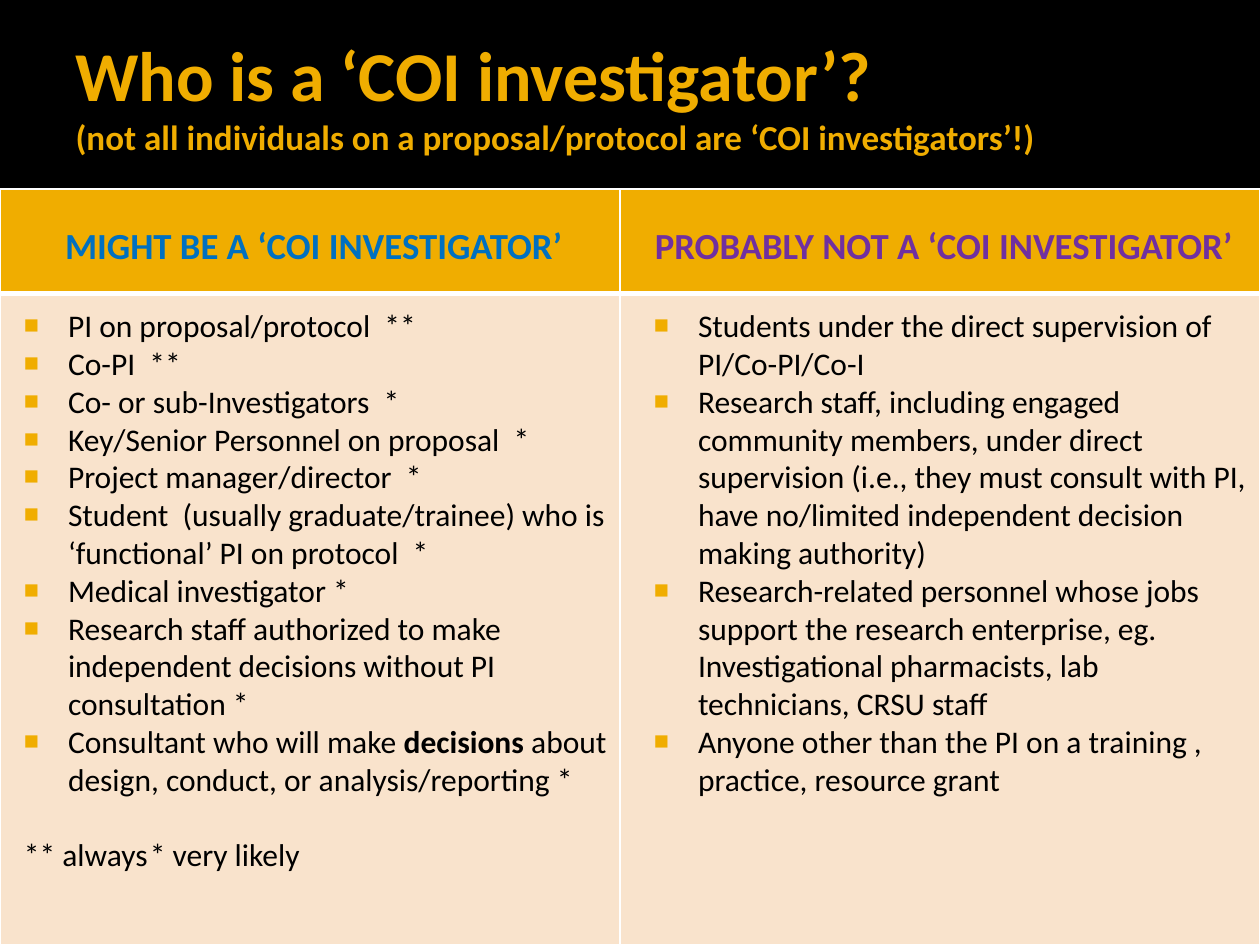
from lxml.etree import SubElement
from pptx import Presentation
from pptx.dml.color import RGBColor
from pptx.enum.shapes import MSO_SHAPE
from pptx.enum.text import MSO_ANCHOR, MSO_AUTO_SIZE, PP_ALIGN
from pptx.oxml.ns import qn
from pptx.util import Inches, Pt

GOLD = RGBColor(0xF0, 0xAD, 0x00)
PEACH = RGBColor(0xF9, 0xE3, 0xCC)
CREAM = RGBColor(0xFF, 0xF0, 0xC9)
WHITE = RGBColor(0xFF, 0xFF, 0xFF)
BLACK = RGBColor(0x00, 0x00, 0x00)
BLUE = RGBColor(0x00, 0x70, 0xC0)
PURPLE = RGBColor(0x70, 0x30, 0xA0)

WIDE, HIGH = 10, 7.5
TOP, HEAD = HIGH / 5, 0.83
BAND = 1.57
BODY = TOP + HEAD
COLS = (4.92, WIDE - 4.92)
ROWS = (HEAD, HIGH - BODY)
HANG, STEP = 0.48, 0.35

MIGHT = [
    "PI on proposal/protocol  **",
    "Co-PI  **",
    "Co- or sub-Investigators  *",
    "Key/Senior Personnel on proposal  *",
    "Project manager/director  *",
    "Student  (usually graduate/trainee) who is ‘functional’ PI on protocol  *",
    "Medical investigator *",
    "Research staff authorized to make independent decisions without PI consultation *",
    "Consultant who will make |decisions| about design, conduct, or analysis/reporting *",
]
NOT = [
    "Students under the direct supervision of PI/Co-PI/Co-I",
    "Research staff, including engaged community members, under direct supervision "
    "(i.e., they must consult with PI, have no/limited independent decision making authority)",
    "Research-related personnel whose jobs support the research enterprise, eg.  "
    "Investigational pharmacists, lab technicians, CRSU staff",
    "Anyone other than the PI on a training , practice, resource grant",
]


def assign(item, values):
    for name, value in values.items():
        setattr(item, name, value)


def place(item, left, top, width, height):
    sides = dict(left=left, top=top, width=width, height=height)
    assign(item, {name: Inches(size) for name, size in sides.items()})


def set_frame(holder, box, insets, anchor):
    """Move a placeholder, set its margins and return its text frame."""
    place(holder, *box)
    frame = holder.text_frame
    names = ("margin_left", "margin_top", "margin_right", "margin_bottom")
    assign(frame, dict(zip(names, map(Inches, insets))))
    assign(frame, dict(word_wrap=True, auto_size=MSO_AUTO_SIZE.NONE,
                       vertical_anchor=anchor))
    return frame


def add_line(frame, text, size, color, bold=False, align=PP_ALIGN.LEFT, before=0):
    """Add a paragraph; text between bars is bold."""
    first = frame.paragraphs[0]
    para = frame.add_paragraph() if first.runs else first
    assign(para, dict(alignment=align, space_before=Pt(before),
                      space_after=Pt(0), line_spacing=1.0))
    for spot, part in enumerate(text.split("|")):
        run = para.add_run()
        run.text = part
        assign(run.font, dict(name="Calibri", size=Pt(size), bold=bold or spot % 2 == 1))
        run.font.color.rgb = color
    return para


def indent(para, left, first):
    props = para._p.get_or_add_pPr()
    props.set("marL", str(Inches(left)))
    props.set("indent", str(Inches(first)))
    return props


def add_bullet(para):
    props = indent(para, HANG, -STEP)
    color = SubElement(props, qn("a:buClr"))
    SubElement(color, qn("a:srgbClr"), val=str(GOLD))
    SubElement(props, qn("a:buSzPct"), val="80000")
    SubElement(props, qn("a:buFont"), typeface="Arial")
    SubElement(props, qn("a:buChar"), char="■")


def add_note(frame):
    para = add_line(frame, "** always\t* very likely", 18, BLACK, before=21.6)
    props = indent(para, HANG - STEP, 0)
    SubElement(props, qn("a:buNone"))
    tabs = SubElement(props, qn("a:tabLst"))
    SubElement(tabs, qn("a:tab"), pos=str(Inches(1.46)), algn="l")


def fill_title(holder):
    frame = set_frame(holder, (0, 0, WIDE, TOP), (0.6, 0.05, 0.05, 0.05),
                      MSO_ANCHOR.MIDDLE)
    add_line(frame, "Who is a ‘COI investigator’?", 40, GOLD, True)
    add_line(frame, "(not all individuals on a proposal/protocol are ‘COI investigators’!)",
             20, GOLD, True)


def fill_head(holder, left, width, text, color):
    frame = set_frame(holder, (left, TOP, width, HEAD), (0.16, 0.1, 0.1, 0.05),
                      MSO_ANCHOR.MIDDLE)
    indent(add_line(frame, text, 21, color, True, PP_ALIGN.CENTER), 0, 0)


def fill_list(holder, left, width, items):
    frame = set_frame(holder, (left, BODY, width, HIGH - BODY), (0.06, 0.1, 0.1, 0.05),
                      MSO_ANCHOR.TOP)
    for text in items:
        add_bullet(add_line(frame, text, 18, BLACK))
    return frame


def add_band(slide, top, height, color):
    band = slide.shapes.add_shape(MSO_SHAPE.RECTANGLE, 0, Inches(top),
                                  Inches(WIDE), Inches(height))
    band.shadow.inherit = False
    band.fill.solid()
    band.fill.fore_color.rgb = color
    band.line.fill.background()


def style_cell(cell, color, base):
    """Fill a cell and give it white borders, with the lower one base points wide."""
    props = cell._tc.get_or_add_tcPr()
    for side, width in (("L", 1), ("R", 1), ("T", base if color == PEACH else 1), ("B", base)):
        if color == PEACH and side == "B":
            width = 1
        edge = SubElement(props, qn(f"a:ln{side}"), w=str(Pt(width)))
        paint = SubElement(edge, qn("a:solidFill"))
        SubElement(paint, qn("a:srgbClr"), val=str(WHITE))
    cell.fill.solid()
    cell.fill.fore_color.rgb = color


def add_grid(slide):
    grid = slide.shapes.add_table(2, 2, 0, Inches(TOP), Inches(WIDE),
                                  Inches(HIGH - TOP)).table
    assign(grid, dict(first_row=False, horz_banding=False))
    for col, width in zip(grid.columns, COLS):
        col.width = Inches(width)
    for row, height, color in zip(grid.rows, ROWS, (GOLD, PEACH)):
        row.height = Inches(height)
        for cell in row.cells:
            style_cell(cell, color, 3)


def main():
    deck = Presentation()
    assign(deck, dict(slide_width=Inches(WIDE), slide_height=Inches(HIGH)))
    slide = deck.slides.add_slide(deck.slide_layouts[4])
    slide.background.fill.solid()
    slide.background.fill.fore_color.rgb = CREAM
    title, left_head, left_list, right_head, right_list = holders = list(slide.placeholders)

    add_band(slide, BAND, 0.05, WHITE)
    add_band(slide, 0, BAND, BLACK)
    add_grid(slide)
    for holder in holders:  # bring the text in front of the table
        slide.shapes._spTree.append(holder._element)

    fill_title(title)
    fill_head(left_head, 0, COLS[0], "MIGHT BE A ‘COI INVESTIGATOR’", BLUE)
    fill_head(right_head, COLS[0], COLS[1], "PROBABLY NOT A ‘COI INVESTIGATOR’", PURPLE)
    add_note(fill_list(left_list, 0, COLS[0], MIGHT))
    fill_list(right_list, WIDE / 2, WIDE / 2, NOT)
    deck.save("out.pptx")


if __name__ == "__main__":
    main()
